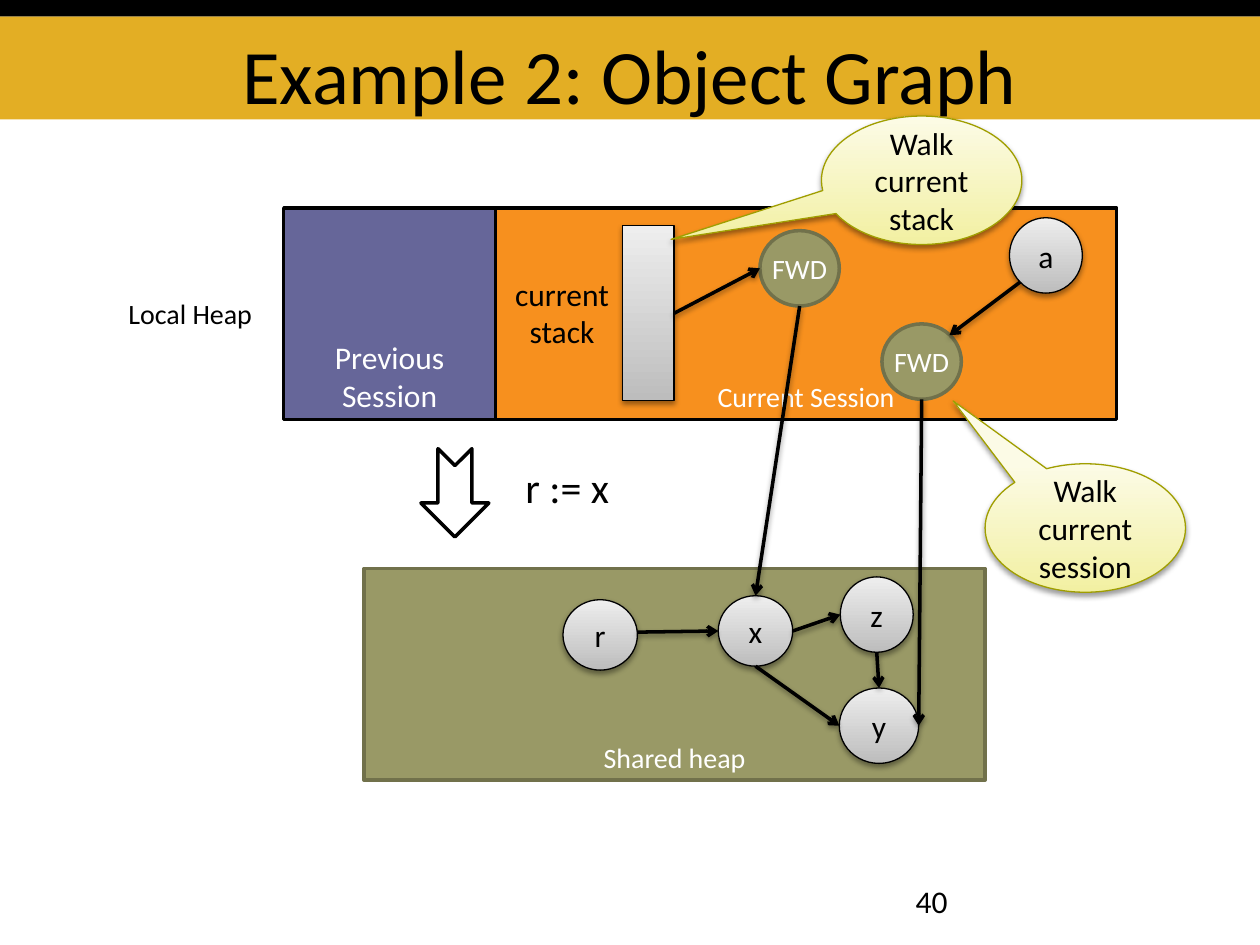
from dataclasses import dataclass

import pptx
import pptx.dml.color
import pptx.enum.dml
import pptx.enum.shapes
import pptx.enum.text
import pptx.oxml
import pptx.oxml.ns
import pptx.util

Cm, Pt = pptx.util.Cm, pptx.util.Pt
SHAPE = pptx.enum.shapes.MSO_SHAPE
ANCHOR = pptx.enum.text.MSO_ANCHOR
ALIGN = pptx.enum.text.PP_ALIGN


@dataclass(frozen=True)
class Theme:
    """Colours, gradients, type sizes and line widths of the slide."""
    font: str = "Calibri"
    black: str = "000000"
    white: str = "FFFFFF"
    gold: str = "E3AE24"
    purple: str = "666699"
    orange: str = "F7901E"
    olive: str = "999966"
    olive_edge: str = "71714B"
    silver: tuple = ("BDBDBD", "EEEEEE")
    cream: tuple = ("F2F0A2", "FCFBE6")
    cream_edge: str = "A09E00"
    title: int = 44
    step: int = 24
    body: int = 18
    label: int = 16
    thin: float = 0.75
    thick: float = 2


T = Theme()


def rgb(value):
    """Turn a hex string into a colour."""
    return pptx.dml.color.RGBColor.from_string(value)


def place(box, x, y, w, h):
    """Return lengths for a part at an offset inside a box."""
    return Cm(box[0] + x), Cm(box[1] + y), Cm(w), Cm(h)


def write(sp, text, size, color=T.black, anchor=ANCHOR.MIDDLE, align=ALIGN.CENTER, wrap=True):
    """Fill a shape's text frame, one paragraph per line."""
    tf = sp.text_frame
    tf.text = text
    tf.word_wrap = wrap
    tf.vertical_anchor = anchor
    for p in tf.paragraphs:
        p.alignment = align
        p.font.name, p.font.size = T.font, Pt(size)
        p.font.color.rgb = rgb(color)
    return tf


def add_shadow(s_pr):
    """Put a soft drop shadow below an outline."""
    effects = s_pr.find(pptx.oxml.ns.qn("a:effectLst"))
    if effects is None:
        effects = pptx.oxml.parse_xml(f"<a:effectLst {pptx.oxml.ns.nsdecls('a')}/>")
        s_pr.append(effects)
    effects.append(pptx.oxml.parse_xml(
        f"<a:outerShdw {pptx.oxml.ns.nsdecls('a')} blurRad='40000' dist='20000' dir='5400000' "
        "rotWithShape='0'><a:srgbClr val='000000'><a:alpha val='38000'/></a:srgbClr></a:outerShdw>"))


def add_block(s, kind, at, fill, edge=None, width=T.thick):
    """Add a shape; a pair of fill colours gives a shadowed gradient."""
    sp = s.shapes.add_shape(kind, *at)
    sp.shadow.inherit = False
    if edge:
        sp.line.color.rgb, sp.line.width = rgb(edge), Pt(width)
    else:
        sp.line.fill.background()
    if isinstance(fill, tuple):
        sp.fill.gradient()
        sp.fill.gradient_angle = 90
        for stop, color in zip(sp.fill.gradient_stops, fill):
            stop.color.rgb = rgb(color)
        add_shadow(sp.element.spPr)
    else:
        sp.fill.solid()
        sp.fill.fore_color.rgb = rgb(fill)
    return sp


def add_text(s, at, text, size, **style):
    """Add a text box."""
    return write(s.shapes.add_textbox(*at), text, size, **style)


def add_node(s, at, text, forward=False):
    """Add a round object or forwarding node."""
    if forward:
        sp = add_block(s, SHAPE.OVAL, at, T.olive, T.olive_edge)
        tf = write(sp, text, T.label, T.white, wrap=False)
    else:
        sp = add_block(s, SHAPE.OVAL, at, T.silver, T.black, T.thin)
        tf = write(sp, text, T.body)
    tf.margin_left = tf.margin_right = tf.margin_top = tf.margin_bottom = 0
    return sp


def add_link(s, start, start_at, end, end_at):
    """Draw an arrow between points given as fractions of two shapes."""
    ends = [int(v) for sp, (fx, fy) in ((start, start_at), (end, end_at))
            for v in (sp.left + fx * sp.width, sp.top + fy * sp.height)]
    link = s.shapes.add_connector(pptx.enum.shapes.MSO_CONNECTOR.STRAIGHT, *ends)
    link.line.color.rgb, link.line.width = rgb(T.black), Pt(T.thick)
    s_pr = link.element.spPr
    s_pr.find(pptx.oxml.ns.qn("a:ln")).append(
        pptx.oxml.parse_xml(f"<a:tailEnd {pptx.oxml.ns.nsdecls('a')} type='arrow'/>"))
    add_shadow(s_pr)


def header(s, box):
    """Draw the black strip and the gold title band."""
    strip = 0.33
    band = box[3] - strip
    add_block(s, SHAPE.RECTANGLE, place(box, 0, strip, box[2], band), T.gold)
    add_block(s, SHAPE.RECTANGLE, place(box, 0, 0, box[2], strip), T.black)
    tf = add_text(s, place(box, 1.27, strip, box[2] - 2.54, band),
                  "Example 2: Object Graph", T.title, anchor=ANCHOR.BOTTOM)
    tf.margin_bottom = 0


def shared_heap(s, box):
    """Draw the shared heap and return its nodes by name."""
    sp = add_block(s, SHAPE.RECTANGLE, place(box, 0, 0, *box[2:]), T.olive, T.olive_edge)
    write(sp, "Shared heap", T.label, T.white, ANCHOR.BOTTOM)
    spots = {"x": (7.14, 0.55, 1.5, 1.42), "y": (9.58, 2.41, 1.6, 1.52),
             "z": (9.6, 0.17, 1.47, 1.52), "r": (4.01, 0.63, 1.5, 1.42)}
    return {name: add_node(s, place(box, *spot), name) for name, spot in spots.items()}


def local_heap(s, box):
    """Draw the local heap sessions and return their linked parts by name."""
    add_text(s, place(box, 0, 1.65, 3.05, 0.94), "Local Heap", T.label,
             align=ALIGN.LEFT, wrap=False)
    sessions = (("Previous Session", 3.38, 4.27, T.purple, T.body),
                ("Current Session", 7.65, 12.52, T.orange, T.label))
    for text, x, w, fill, size in sessions:
        sp = add_block(s, SHAPE.RECTANGLE, place(box, x, 0, w, box[3]), fill, T.black)
        write(sp, text, size, T.white, ANCHOR.BOTTOM)
    add_text(s, place(box, 7.77, 1.22, 2.44, 1.8), "current\nstack", T.body,
             anchor=ANCHOR.TOP, wrap=False)
    return {
        "stack": add_block(s, SHAPE.RECTANGLE, place(box, 10.21, 0.36, 1.04, 3.53),
                           T.silver, T.black, T.thin),
        "a": add_node(s, place(box, 18.01, 0.2, 1.47, 1.52), "a"),
        "to_x": add_node(s, place(box, 12.98, 0.46, 1.6, 1.52), "FWD", True),
        "to_y": add_node(s, place(box, 15.44, 2.34, 1.6, 1.52), "FWD", True),
    }


def step(s, box):
    """Draw the block arrow and the assignment beside it."""
    sp = add_block(s, SHAPE.NOTCHED_RIGHT_ARROW, place(box, 0, 0.08, 1.78, 1.37), T.white, T.black)
    sp.rotation = 90
    add_text(s, place(box, 2.06, 0, 2.24, 1.27), "r := x", T.step,
             anchor=ANCHOR.TOP, align=ALIGN.LEFT, wrap=False)


def links(s, nodes):
    """Draw the references between nodes."""
    top, left, bottom, right = (0.5, 0), (0, 0.5), (0.5, 1), (1, 0.5)
    for start, start_at, end, end_at in (
            ("x", bottom, "y", left), ("x", right, "z", left), ("z", bottom, "y", top),
            ("r", (1, 0.46), "x", left), ("stack", right, "to_x", left),
            ("a", (0.15, 0.85), "to_y", (0.85, 0.15)),
            ("to_y", bottom, "y", right), ("to_x", bottom, "x", top)):
        add_link(s, nodes[start], start_at, nodes[end], end_at)


def callout(s, box, text, tip):
    """Draw a speech balloon pointing at a tip."""
    sp = add_block(s, SHAPE.OVAL_CALLOUT, place(box, 0, 0, *box[2:]), T.cream, T.cream_edge, T.thin)
    sp.adjustments[0], sp.adjustments[1] = tip
    tf = write(sp, text, T.body)
    tf.margin_left = tf.margin_right = tf.margin_top = tf.margin_bottom = 0


def main():
    """Build and save the slide."""
    prs = pptx.Presentation()
    prs.slide_width, prs.slide_height = Cm(25.4), Cm(19.05)
    s = prs.slides.add_slide(prs.slide_layouts[6])
    header(s, (0, 0, 25.4, 2.41))
    nodes = shared_heap(s, (7.34, 11.46, 12.52, 4.27))
    nodes.update(local_heap(s, (2.34, 4.19, 20.17, 4.27)))
    step(s, (8.28, 9.17, 4.3, 1.78))
    links(s, nodes)
    callout(s, (16.56, 2.34, 4.04, 2.59), "Walk current stack", (-1.25, 0.46))
    callout(s, (19.86, 9.35, 4.04, 2.59), "Walk current session", (-0.66, -0.99))
    add_text(s, place((18.21, 17.65), 0, 0, 5.92, 1.02), "40", T.body,
             anchor=ANCHOR.TOP, align=ALIGN.LEFT)
    prs.save("out.pptx")


if __name__ == "__main__":
    main()
